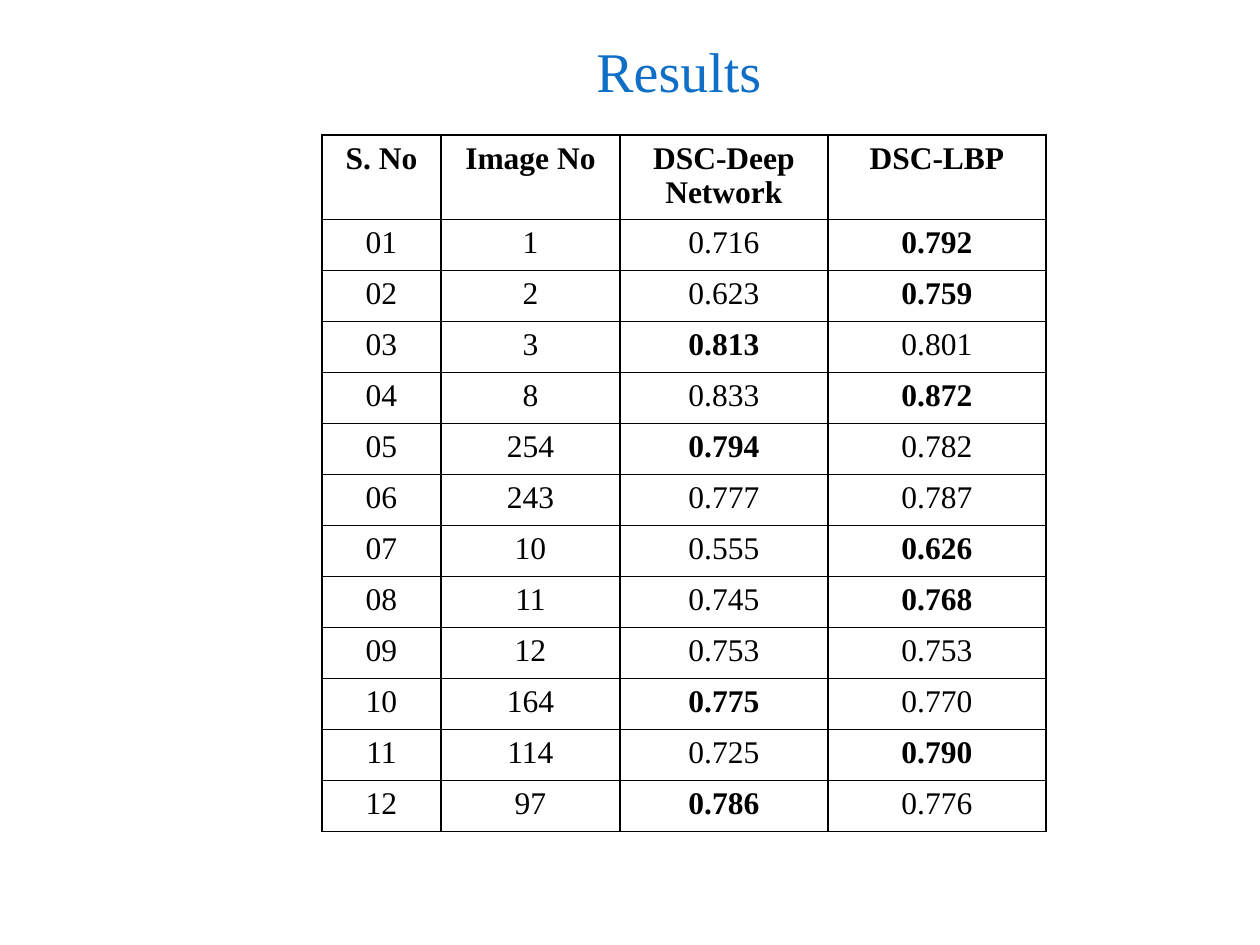
import pptx
import pptx.util
import pptx.dml.color
import pptx.enum.text
import pptx.oxml
import pptx.oxml.ns

PX = 914400 / 126
FONT = "Times New Roman"
BLUE = pptx.dml.color.RGBColor(0x0F, 0x6F, 0xC6)
BLACK = pptx.dml.color.RGBColor(0, 0, 0)
CENTER = pptx.enum.text.PP_ALIGN.CENTER

COLUMN_WIDTHS = [119, 179, 208, 218]
HEADER_HEIGHT, ROW_HEIGHT = 82, 51
HEADER = ["S. No", "Image No", "DSC-Deep Network", "DSC-LBP"]
# image number, deep network score, LBP score, column of the bold score
RESULTS = [
    ("1", "0.716", "0.792", 3),
    ("2", "0.623", "0.759", 3),
    ("3", "0.813", "0.801", 2),
    ("8", "0.833", "0.872", 3),
    ("254", "0.794", "0.782", 2),
    ("243", "0.777", "0.787", None),
    ("10", "0.555", "0.626", 3),
    ("11", "0.745", "0.768", 3),
    ("12", "0.753", "0.753", None),
    ("164", "0.775", "0.770", 2),
    ("114", "0.725", "0.790", 3),
    ("97", "0.786", "0.776", 2),
]


def px(n):
    return pptx.util.Emu(round(n * PX))


def style(p, size, color, bold=False):
    p.alignment = CENTER
    p.font.name = FONT
    p.font.size = pptx.util.Pt(size)
    p.font.color.rgb = color
    p.font.bold = bold


prs = pptx.Presentation()
prs.slide_width, prs.slide_height = px(1260), px(945)
s = prs.slides.add_slide(prs.slide_layouts[6])

# Title
sp = s.shapes.add_textbox(px(112), px(37), px(1134), px(67))
tf = sp.text_frame
tf.word_wrap = True
tf.vertical_anchor = pptx.enum.text.MSO_ANCHOR.BOTTOM
tf.margin_left = tf.margin_right = tf.margin_bottom = 0
tf.margin_top = px(6)
tf.text = "Results"
style(tf.paragraphs[0], 32, BLUE)

# Results table
rows = [HEADER] + [[f"{n:02d}", *result[:3]] for n, result in enumerate(RESULTS, 1)]
bold_columns = [result[3] for result in RESULTS]
height = HEADER_HEIGHT + ROW_HEIGHT * len(RESULTS)
table = s.shapes.add_table(len(rows), len(HEADER), px(322), px(135),
                           px(sum(COLUMN_WIDTHS)), px(height)).table
table.horz_banding = False
for column, width in zip(table.columns, COLUMN_WIDTHS):
    column.width = px(width)

for i, values in enumerate(rows):
    table.rows[i].height = px(ROW_HEIGHT if i else HEADER_HEIGHT)
    for j, value in enumerate(values):
        cell = table.cell(i, j)
        cell.text = value
        cell.margin_top = px(6)
        cell.margin_bottom = px(3)
        bold = i == 0 or j == bold_columns[i - 1]
        style(cell.text_frame.paragraphs[0], 18, BLACK, bold)
        tc_pr = cell._tc.get_or_add_tcPr()
        for side in ("lnL", "lnR", "lnT", "lnB"):
            tc_pr.append(pptx.oxml.parse_xml(
                f'<a:{side} {pptx.oxml.ns.nsdecls("a")} w="12700"><a:solidFill>'
                f'<a:srgbClr val="{BLACK}"/></a:solidFill></a:{side}>'))
        cell.fill.background()

prs.save("out.pptx")
